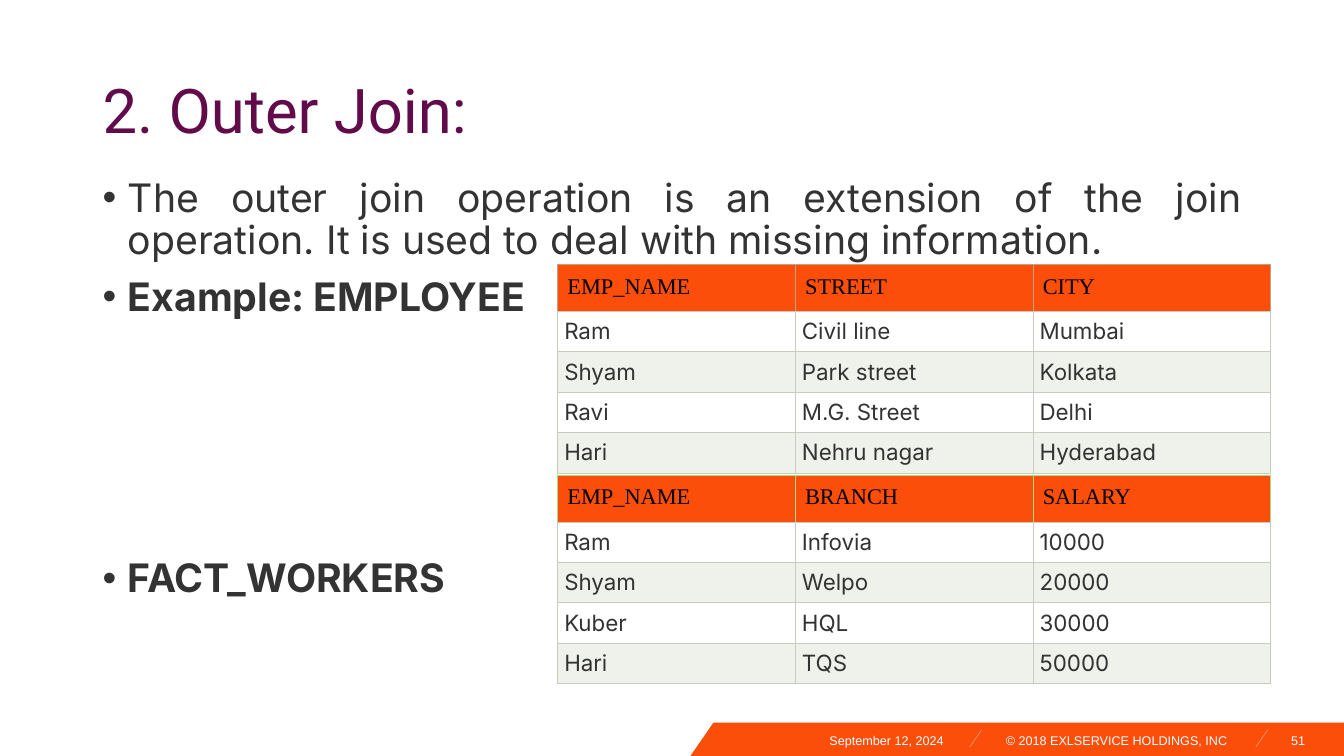
import dataclasses

import lxml.etree
import pptx
import pptx.dml.color
import pptx.enum.shapes
import pptx.enum.text
import pptx.oxml.ns
import pptx.util

Cm = pptx.util.Cm
Pt = pptx.util.Pt
Align = pptx.enum.text.PP_ALIGN
Anchor = pptx.enum.text.MSO_ANCHOR
qn = pptx.oxml.ns.qn


@dataclasses.dataclass(frozen=True)
class TextStyle:
    font: str
    size: float
    color: str
    bold: bool = False


@dataclasses.dataclass(frozen=True)
class Theme:
    title: TextStyle = TextStyle("Roboto", 44, "610B4B")
    body: TextStyle = TextStyle("Inter", 28, "333333")
    label: TextStyle = TextStyle("Inter", 28, "333333", True)
    header: TextStyle = TextStyle("Times New Roman", 16, "000000")
    cell: TextStyle = TextStyle("Inter", 16, "333333")
    footer: TextStyle = TextStyle("Arial", 9, "FFFFFF")
    accent: str = "FB4E0B"
    divider: str = "FC946B"
    grid: str = "C7CCBE"
    bands: tuple[str, str] = ("FFFFFF", "EFF1EB")


@dataclasses.dataclass(frozen=True)
class Bullet:
    text: str
    style: TextStyle
    space_before: float


@dataclasses.dataclass(frozen=True)
class DataTable:
    top: float
    header_line: str
    rows: list[tuple[str, str, str]]


@dataclasses.dataclass(frozen=True)
class FooterItem:
    text: str
    left: float
    width: float
    align: Align


THEME = Theme()
TABLE_LEFT, COLUMN_WIDTH = 14.05, 5.99
HEADER_HEIGHT, ROW_HEIGHT = 1.18, 1.02

BULLETS = [
    Bullet(
        "The outer join operation is an extension of the join operation. "
        "It is used to deal with missing information.",
        THEME.body, 0,
    ),
    Bullet("Example: EMPLOYEE", THEME.label, 10),
    Bullet("FACT_WORKERS", THEME.label, 171),
]

TABLES = [
    DataTable(6.66, "C0A181", [
        ("EMP_NAME", "STREET", "CITY"),
        ("Ram", "Civil line", "Mumbai"),
        ("Shyam", "Park street", "Kolkata"),
        ("Ravi", "M.G. Street", "Delhi"),
        ("Hari", "Nehru nagar", "Hyderabad"),
    ]),
    DataTable(11.97, "A0E278", [
        ("EMP_NAME", "BRANCH", "SALARY"),
        ("Ram", "Infovia", "10000"),
        ("Shyam", "Welpo", "20000"),
        ("Kuber", "HQL", "30000"),
        ("Hari", "TQS", "50000"),
    ]),
]

FOOTER_ITEMS = [
    FooterItem("September 12, 2024", 18.01, 5.77, Align.RIGHT),
    FooterItem("© 2018 EXLSERVICE HOLDINGS, INC", 25.35, 5.77, Align.LEFT),
    FooterItem("51", 31.95, 0.94, Align.RIGHT),
]
DIVIDERS = [24.74, 31.95]


def rgb(color: str) -> pptx.dml.color.RGBColor:
    return pptx.dml.color.RGBColor.from_string(color)


def format_runs(para, style: TextStyle) -> None:
    for span in para.runs:
        span.font.name = style.font
        span.font.size = Pt(style.size)
        span.font.bold = style.bold
        span.font.color.rgb = rgb(style.color)


def place(box, left: float, top: float, width: float, height: float) -> None:
    box.left, box.top = Cm(left), Cm(top)
    box.width, box.height = Cm(width), Cm(height)


def add_title(page, text: str) -> None:
    box = page.shapes.title
    place(box, 2.33, 1.02, 29.21, 3.68)
    frame = box.text_frame
    frame.text = text
    frame.auto_size = pptx.enum.text.MSO_AUTO_SIZE.NONE
    frame.vertical_anchor = Anchor.MIDDLE
    para = frame.paragraphs[0]
    para.alignment = Align.LEFT
    para.line_spacing = 0.9
    format_runs(para, THEME.title)


def add_bullets(page, bullets: list[Bullet]) -> None:
    box = page.placeholders[1]
    place(box, 2.33, 4.37, 29.21, 12.78)
    frame = box.text_frame
    frame.text = "\n".join(bullet.text for bullet in bullets)
    frame.auto_size = pptx.enum.text.MSO_AUTO_SIZE.NONE
    frame.vertical_anchor = Anchor.TOP
    for para, bullet in zip(frame.paragraphs, bullets):
        properties = para._p.get_or_add_pPr()
        properties.set("marL", str(Cm(0.64)))
        properties.set("indent", str(-Cm(0.64)))
        lxml.etree.SubElement(properties, qn("a:buFont"), typeface="Arial")
        lxml.etree.SubElement(properties, qn("a:buChar"), char="•")
        para.alignment = Align.JUSTIFY
        para.line_spacing = 0.9
        para.space_before = Pt(bullet.space_before)
        format_runs(para, bullet.style)


def set_borders(cell, side_color: str) -> None:
    properties = cell._tc.get_or_add_tcPr()
    for side in "LRTB":
        line = lxml.etree.SubElement(properties, qn(f"a:ln{side}"), w=str(Pt(0.6)))
        fill = lxml.etree.SubElement(line, qn("a:solidFill"))
        color = THEME.grid if side == "B" else side_color
        lxml.etree.SubElement(fill, qn("a:srgbClr"), val=color)


def add_data_table(page, data: DataTable) -> None:
    row_count, column_count = len(data.rows), len(data.rows[0])
    height = HEADER_HEIGHT + ROW_HEIGHT * (row_count - 1)
    table = page.shapes.add_table(
        row_count, column_count, Cm(TABLE_LEFT), Cm(data.top),
        Cm(COLUMN_WIDTH * column_count), Cm(height),
    ).table
    table.first_row = table.horz_banding = False
    for column in table.columns:
        column.width = Cm(COLUMN_WIDTH)
    for row_index, values in enumerate(data.rows):
        is_header = row_index == 0
        table.rows[row_index].height = Cm(HEADER_HEIGHT if is_header else ROW_HEIGHT)
        inset = Cm(0.25 if is_header else 0.17)
        fill = THEME.accent if is_header else THEME.bands[(row_index - 1) % 2]
        for cell, value in zip(table.rows[row_index].cells, values):
            set_borders(cell, data.header_line if is_header else THEME.grid)
            cell.fill.solid()
            cell.fill.fore_color.rgb = rgb(fill)
            cell.margin_left = cell.margin_right = inset
            cell.margin_top = cell.margin_bottom = inset
            cell.text_frame.text = value
            para = cell.text_frame.paragraphs[0]
            para.alignment = Align.LEFT if is_header else Align.JUSTIFY
            format_runs(para, THEME.header if is_header else THEME.cell)


def add_footer_band(page) -> None:
    builder = page.shapes.build_freeform(Cm(17.98), Cm(18.21))
    corners = [(33.87, 18.21), (33.87, 19.05), (17.4, 19.05)]
    builder.add_line_segments([(Cm(x), Cm(y)) for x, y in corners], close=True)
    band = builder.convert_to_shape()
    band.shadow.inherit = False
    band.fill.solid()
    band.fill.fore_color.rgb = rgb(THEME.accent)
    band.line.fill.background()


def add_divider(page, left: float) -> None:
    line = page.shapes.add_connector(
        pptx.enum.shapes.MSO_CONNECTOR.STRAIGHT,
        Cm(left), Cm(18.39), Cm(left - 0.3), Cm(18.82),
    )
    line.line.color.rgb = rgb(THEME.divider)
    line.line.width = Pt(0.5)
    lxml.etree.SubElement(line._element.spPr, qn("a:effectLst"))


def add_footer_item(page, item: FooterItem) -> None:
    box = page.shapes.add_textbox(Cm(item.left), Cm(18.47), Cm(item.width), Cm(0.38))
    frame = box.text_frame
    frame.word_wrap = True
    frame.margin_left = frame.margin_right = 0
    frame.margin_top = frame.margin_bottom = 0
    frame.text = item.text
    frame.paragraphs[0].alignment = item.align
    format_runs(frame.paragraphs[0], THEME.footer)


def main() -> None:
    deck = pptx.Presentation()
    deck.slide_width, deck.slide_height = Cm(33.87), Cm(19.05)
    page = deck.slides.add_slide(deck.slide_layouts[1])
    add_footer_band(page)
    for left in DIVIDERS:
        add_divider(page, left)
    for item in FOOTER_ITEMS:
        add_footer_item(page, item)
    add_title(page, "2. Outer Join:")
    add_bullets(page, BULLETS)
    for data in TABLES:
        add_data_table(page, data)
    deck.save("out.pptx")


if __name__ == "__main__":
    main()
